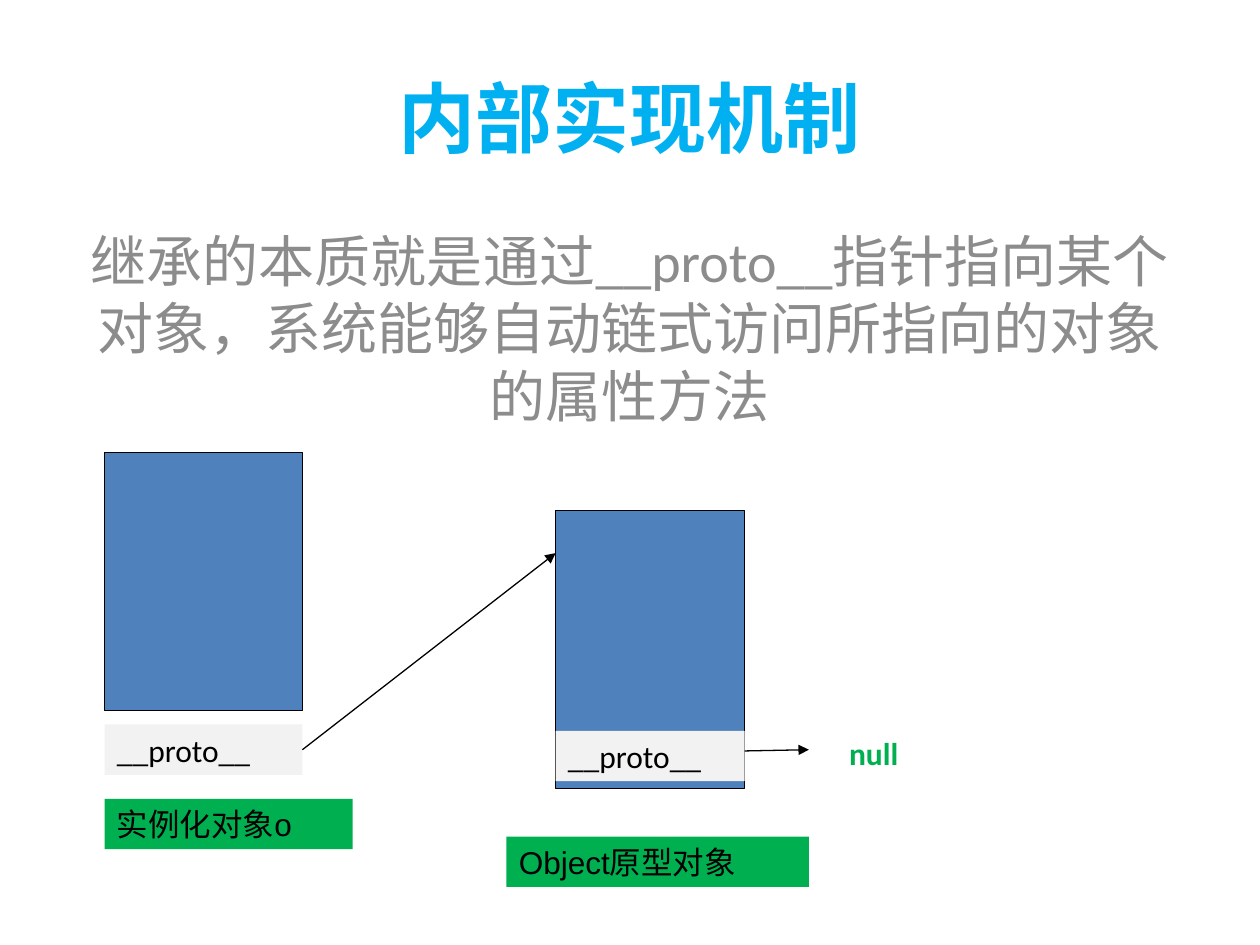
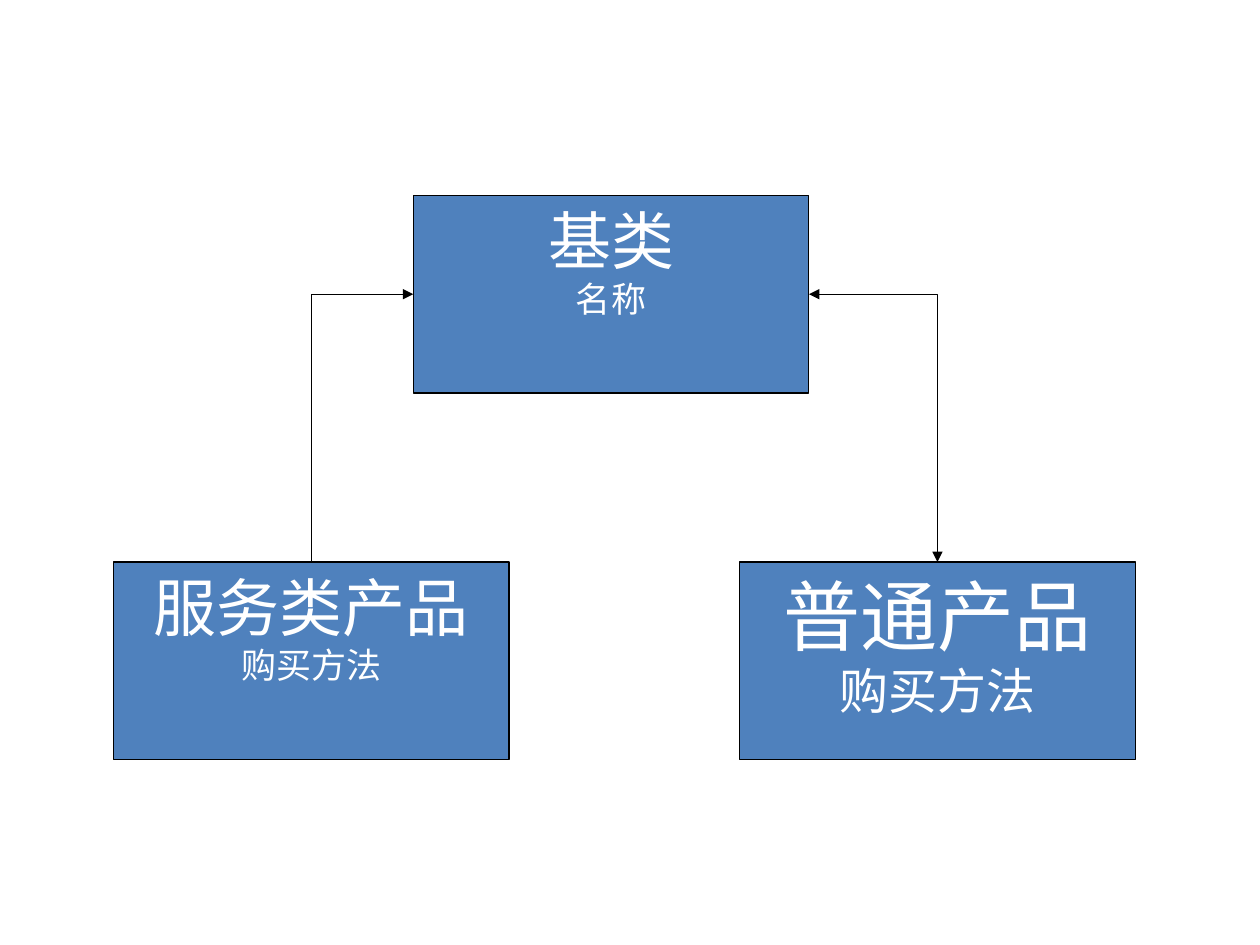
from lxml import etree
from pptx import Presentation
from pptx.dml.color import RGBColor
from pptx.enum import shapes, text
from pptx.oxml import ns
from pptx.util import Inches, Pt

BLUE, GREEN, PALE = "4F81BD", "00B050", "F2F2F2"
CYAN, GREY, BLACK, WHITE = "00B0F0", "8C8C8C", "000000", "FFFFFF"
LABEL_H = 0.4
CLASS_W, CLASS_H = 3.14, 1.57


def rgb(value):
    return RGBColor.from_string(value)


def add_par(tf, content, size=18, font="Arial", color=BLACK, bold=False,
            align=text.PP_ALIGN.LEFT, before=0):
    p = tf.paragraphs[0]
    if p.runs:
        p = tf.add_paragraph()
    p.alignment = align
    p.space_before = Pt(before)
    r = p.add_run()
    r.text = content
    r.font.size = Pt(size)
    r.font.name = font
    r.font.bold = bold
    r.font.color.rgb = rgb(color)


def add_box(s, x, y, w, h, fill, line=None):
    sp = s.shapes.add_shape(shapes.MSO_SHAPE.RECTANGLE,
                            Inches(x), Inches(y), Inches(w), Inches(h))
    sp.shadow.inherit = False
    sp.fill.solid()
    sp.fill.fore_color.rgb = rgb(fill)
    if line:
        sp.line.color.rgb = rgb(line)
        sp.line.width = Pt(0.75)
    else:
        sp.line.fill.background()
    sp.text_frame.word_wrap = True
    sp.text_frame.vertical_anchor = text.MSO_ANCHOR.TOP
    return sp


def add_text(s, x, y, w, h, content, anchor=text.MSO_ANCHOR.TOP, **fmt):
    sp = s.shapes.add_textbox(Inches(x), Inches(y), Inches(w), Inches(h))
    tf = sp.text_frame
    tf.word_wrap = True
    tf.vertical_anchor = anchor
    add_par(tf, content, **fmt)


def add_label(s, x, y, w, content, fill, font="Arial"):
    tf = add_box(s, x, y, w, LABEL_H, fill).text_frame
    tf.auto_size = text.MSO_AUTO_SIZE.SHAPE_TO_FIT_TEXT
    add_par(tf, content, font=font)


def add_arrow(s, start, end, ends=("tailEnd",), bent=False):
    kind = shapes.MSO_CONNECTOR.ELBOW if bent else shapes.MSO_CONNECTOR.STRAIGHT
    c = s.shapes.add_connector(kind, *[Inches(v) for v in (*start, *end)])
    c.line.color.rgb = rgb(BLACK)
    c.line.width = Pt(0.75)
    props = c.element.spPr
    if bent:
        props.find(ns.qn("a:prstGeom")).set("prst", "bentConnector2")
    ln = props.find(ns.qn("a:ln"))
    for name in ends:
        etree.SubElement(ln, ns.qn(f"a:{name}")).set("type", "triangle")
    etree.SubElement(props, ns.qn("a:effectLst"))


def add_heading(s, x, y, w):
    center = text.PP_ALIGN.CENTER
    add_text(s, x, y, w, 1.25, "内部实现机制", anchor=text.MSO_ANCHOR.MIDDLE,
             size=44, font="Calibri", color=CYAN, bold=True, align=center)
    add_text(s, x, y + 1.45, w, 4.95,
             "继承的本质就是通过__proto__指针指向某个对象，系统能够自动链式访问所指向的对象的属性方法",
             size=32, font="Calibri", color=GREY, align=center, before=6.4)


def add_object(s, x, y, w, h, proto_dy, name, name_dx, name_dy, name_w):
    add_box(s, x, y, w, h, BLUE, BLACK)
    add_label(s, x, y + proto_dy, w, "__proto__", PALE, font="Calibri")
    add_label(s, x + name_dx, y + name_dy, name_w, name, GREEN)


def mechanism_slide(prs):
    s = prs.slides.add_slide(prs.slide_layouts[6])
    add_heading(s, 0.5, 0.3, 9)
    add_object(s, 0.83, 3.59, 1.57, 2.05, 2.16, "实例化对象o", 0, 2.75, 1.97)
    add_object(s, 4.41, 4.05, 1.5, 2.21, 1.75, "Object原型对象", -0.39, 2.59, 2.4)
    add_text(s, 6.64, 5.78, 0.79, LABEL_H, "null",
             font="Calibri", color=GREEN, bold=True)
    add_arrow(s, (2.4, 5.95), (4.41, 4.39))
    add_arrow(s, (5.91, 5.96), (6.42, 5.95))


def add_class(s, x, y, name, member, name_size=36, member_size=20):
    tf = add_box(s, x, y, CLASS_W, CLASS_H, BLUE, BLACK).text_frame
    for content, size in ((name, name_size), (member, member_size)):
        add_par(tf, content, size=size, color=WHITE, align=text.PP_ALIGN.CENTER)


def hierarchy_slide(prs):
    s = prs.slides.add_slide(prs.slide_layouts[6])
    base_x, base_y = 3.28, 1.55
    service_x, goods_x, child_y = 0.9, 5.87, 4.46
    add_class(s, base_x, base_y, "基类", "名称")
    add_class(s, service_x, child_y, "服务类产品", "购买方法")
    add_class(s, goods_x, child_y, "普通产品", "购买方法", 44, 28)
    mid_y = base_y + CLASS_H / 2
    add_arrow(s, (base_x, mid_y), (service_x + CLASS_W / 2, child_y),
              ends=("headEnd",), bent=True)
    add_arrow(s, (base_x + CLASS_W, mid_y), (goods_x + CLASS_W / 2, child_y),
              ends=("headEnd", "tailEnd"), bent=True)


def main():
    prs = Presentation()
    prs.slide_width, prs.slide_height = Inches(10), Inches(7.5)
    mechanism_slide(prs)
    hierarchy_slide(prs)
    prs.save("out.pptx")


if __name__ == "__main__":
    main()
